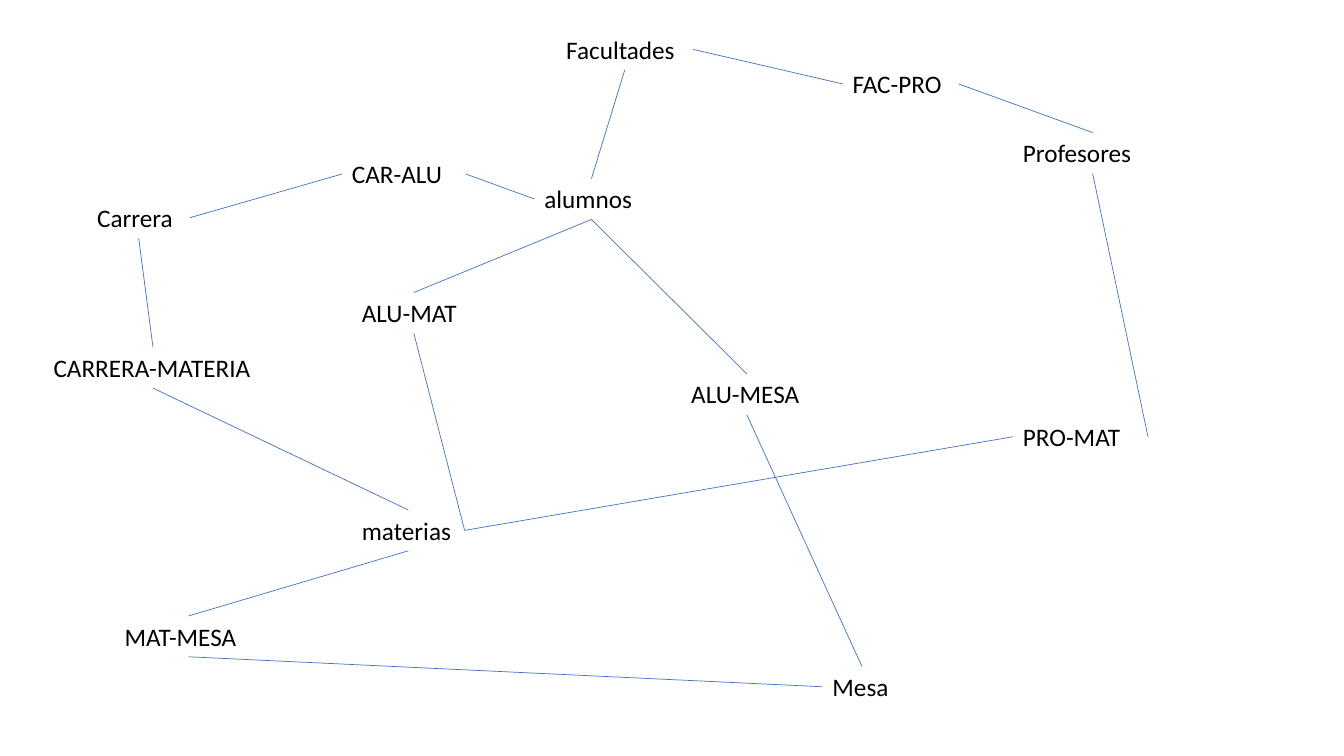
from lxml.etree import SubElement
from pptx import Presentation
from pptx.dml.color import RGBColor
from pptx.enum.shapes import MSO_CONNECTOR
from pptx.enum.text import MSO_AUTO_SIZE
from pptx.oxml.ns import qn
from pptx.util import Cm, Pt

BLACK = RGBColor(0x00, 0x00, 0x00)
BLUE = RGBColor(0x44, 0x72, 0xC4)
TOP, LEFT, BOTTOM, RIGHT = range(4)
LABEL_HEIGHT = Cm(1.03)

ENTITIES = [
    ("MAT-MESA", 2.89, 15.52, 3.73),
    ("Facultades", 14.02, 0.73, 3.45),
    ("alumnos", 13.47, 4.5, 2.87),
    ("Profesores", 25.53, 3.34, 4.01),
    ("materias", 8.87, 12.85, 2.84),
    ("Carrera", 2.2, 4.97, 2.59),
    ("CARRERA-MATERIA", 1.1, 8.75, 5.51),
    ("CAR-ALU", 8.62, 3.87, 3.12),
    ("PRO-MAT", 25.53, 10.49, 3.4),
    ("ALU-MAT", 8.87, 7.37, 3.12),
    ("Mesa", 20.73, 16.79, 1.98),
    ("FAC-PRO", 21.24, 1.6, 2.92),
    ("ALU-MESA", 17.17, 9.42, 3.3),
]

RELATIONS = [
    ("Carrera", BOTTOM, "CARRERA-MATERIA", TOP),
    ("CARRERA-MATERIA", BOTTOM, "materias", TOP),
    ("Facultades", BOTTOM, "alumnos", TOP),
    ("materias", BOTTOM, "MAT-MESA", TOP),
    ("alumnos", LEFT, "CAR-ALU", RIGHT),
    ("CAR-ALU", LEFT, "Carrera", RIGHT),
    ("Profesores", BOTTOM, "PRO-MAT", RIGHT),
    ("PRO-MAT", LEFT, "materias", RIGHT),
    ("alumnos", BOTTOM, "ALU-MAT", TOP),
    ("ALU-MAT", BOTTOM, "materias", RIGHT),
    ("MAT-MESA", BOTTOM, "Mesa", LEFT),
    ("Facultades", RIGHT, "FAC-PRO", LEFT),
    ("FAC-PRO", RIGHT, "Profesores", TOP),
    ("alumnos", BOTTOM, "ALU-MESA", TOP),
    ("ALU-MESA", BOTTOM, "Mesa", TOP),
]

presentation = Presentation()
presentation.slide_width = Cm(33.87)
presentation.slide_height = Cm(19.05)
slide = presentation.slides.add_slide(presentation.slide_layouts[6])

labels = {}
for name, left, top, width in ENTITIES:
    label = slide.shapes.add_textbox(Cm(left), Cm(top), Cm(width), LABEL_HEIGHT)
    label.text_frame.word_wrap = True
    label.text_frame.auto_size = MSO_AUTO_SIZE.SHAPE_TO_FIT_TEXT
    run = label.text_frame.paragraphs[0].add_run()
    run.text = name
    run.font.name = "Calibri"
    run.font.size = Pt(18)
    run.font.color.rgb = BLACK
    labels[name] = label

for start_name, start_side, end_name, end_side in RELATIONS:
    start, end = labels[start_name], labels[end_name]
    connector = slide.shapes.add_connector(
        MSO_CONNECTOR.STRAIGHT, start.left, start.top, end.left, end.top
    )
    connector.begin_connect(start, start_side)
    connector.end_connect(end, end_side)
    connector.line.color.rgb = BLUE
    connector.line.width = Pt(0.5)
    SubElement(connector.element.spPr, qn("a:effectLst"))

presentation.save("out.pptx")
